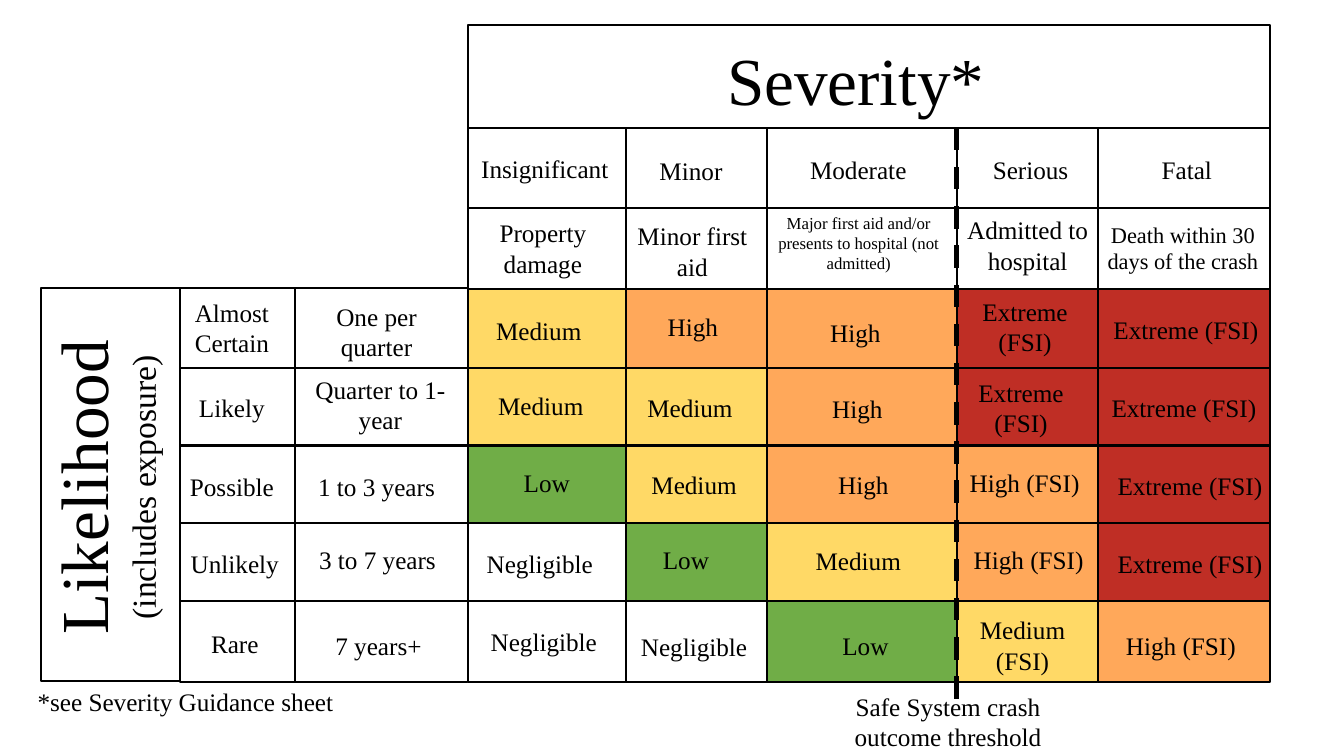
"""Build a crash risk matrix slide rating likelihood against severity."""
from typing import NamedTuple

import lxml.etree
import pptx
import pptx.dml.color
import pptx.enum.dml
import pptx.enum.shapes
import pptx.enum.text
import pptx.oxml.ns
import pptx.util

Pt = pptx.util.Pt
RGBColor = pptx.dml.color.RGBColor

BLACK = RGBColor(0x00, 0x00, 0x00)
WHITE = RGBColor(0xFF, 0xFF, 0xFF)
GREEN = RGBColor(0x70, 0xAD, 0x47)
YELLOW = RGBColor(0xFF, 0xD9, 0x66)
ORANGE = RGBColor(0xFF, 0xA8, 0x5A)
RED = RGBColor(0xBF, 0x2E, 0x25)
RATING_FILLS = {"Low": GREEN, "Medium": YELLOW, "High": ORANGE, "Extreme": RED}
FONT = "Times New Roman"

SEVERITY_TOPS = [91.4, 148.3, 206.6, 262.8, 318.2, 373.7, 429.1]
LIKELIHOOD_TOPS = [205.9, *SEVERITY_TOPS[3:]]
ROW_HEIGHT = 58.3
MATRIX_LEFT = 334.1
MATRIX_RIGHT = 907.2
THRESHOLD = 683.3


class Label(NamedTuple):
    text: str
    left: float
    top: float
    width: float = 123.1
    lines: int = 1
    size: float = 18


class Column(NamedTuple):
    left: float
    width: float
    tops: list[float]
    labels: list[Label]


COLUMNS = [
    Column(128.9, 82.1, LIKELIHOOD_TOPS, [
        Label("Almost Certain", 124.6, 208.8, 82.1, 2),
        Label("Likely", 124.6, 276.5, 82.1),
        Label("Possible", 124.6, 333.4, 82.1),
        Label("Unlikely", 126.7, 388.1, 82.1),
        Label("Rare", 126.7, 445, 82.1),
    ]),
    Column(211, 123.1, LIKELIHOOD_TOPS, [
        Label("One per quarter", 207.4, 211.7, lines=2),
        Label("Quarter to 1-year", 210.2, 263.5, lines=2),
        Label("1 to 3 years", 207.4, 333.4),
        Label("3 to 7 years", 208.1, 385.2),
        Label("7 years+", 208.8, 446.4),
    ]),
    Column(MATRIX_LEFT, 113, SEVERITY_TOPS, [
        Label("Insignificant", 327.6, 105.8),
        Label("Property damage", 326.2, 151.9, lines=2),
        Label("Medium", 323.3, 221.8),
        Label("Medium", 324.7, 275),
        Label("Low", 329, 330.5),
        Label("Negligible", 324, 388.1),
        Label("Negligible", 326.9, 444.2),
    ]),
    Column(447.1, 100.8, SEVERITY_TOPS, [
        Label("Minor", 432, 107.3),
        Label("Minor first aid", 444.2, 154.1, 100.8, 2),
        Label("High", 433.4, 218.9),
        Label("Medium", 431.3, 276.5),
        Label("Medium", 434.2, 331.9),
        Label("Low", 428.4, 385.2),
        Label("Negligible", 434.2, 447.1),
    ]),
    Column(547.9, 135.4, SEVERITY_TOPS, [
        Label("Moderate", 551.5, 106.6),
        Label("Major first aid and/or presents to hospital (not admitted)",
              547.2, 148.3, 132.5, 3, 12),
        Label("High", 549.4, 223.2),
        Label("High", 550.8, 277.2),
        Label("High", 555.1, 331.9),
        Label("Medium", 551.5, 385.9),
        Label("Low", 556.6, 446.4),
    ]),
    Column(THRESHOLD, 100.8, SEVERITY_TOPS, [
        Label("Serious", 674.6, 106.6),
        Label("Admitted to hospital", 672.5, 149.8, lines=2),
        Label("Extreme (FSI)", 677.5, 208.1, 109.4, 2),
        Label("Extreme (FSI)", 674.6, 265.7, 109.4, 2),
        Label("High (FSI)", 670.3, 330.5),
        Label("High (FSI)", 673.2, 385.2),
        Label("Medium (FSI)", 674.6, 435.6, 111.6, 2),
    ]),
    Column(784.1, 123.1, SEVERITY_TOPS, [
        Label("Fatal", 786.2, 106.6),
        Label("Death within 30 days of the crash", 783.4, 154.1, lines=2, size=16),
        Label("Extreme (FSI)", 766.8, 221, 160.6),
        Label("Extreme (FSI)", 765.4, 276.5, 160.6),
        Label("Extreme (FSI)", 769.7, 332.6, 160.6),
        Label("Extreme (FSI)", 769.7, 388.1, 160.6),
        Label("High (FSI)", 781.9, 446.4),
    ]),
]
FOOTNOTES = [
    Label("*see Severity Guidance sheet", -26.6, 486.7, 318.2),
    Label("Safe System crash outcome threshold", 601.2, 490.3, 152, 2),
]


def add_box(slide, left: float, top: float, width: float, height: float,
            fill: RGBColor = WHITE) -> None:
    box = slide.shapes.add_shape(pptx.enum.shapes.MSO_SHAPE.RECTANGLE,
                                 Pt(left), Pt(top), Pt(width), Pt(height))
    box.shadow.inherit = False
    box.fill.solid()
    box.fill.fore_color.rgb = fill
    box.line.color.rgb = BLACK
    box.line.width = Pt(1.5)


def write(frame, text: str, sizes: list[float]) -> None:
    frame.text = text
    frame.word_wrap = True
    frame.auto_size = pptx.enum.text.MSO_AUTO_SIZE.SHAPE_TO_FIT_TEXT
    frame.vertical_anchor = pptx.enum.text.MSO_ANCHOR.TOP
    for paragraph, size in zip(frame.paragraphs, sizes):
        paragraph.alignment = pptx.enum.text.PP_ALIGN.CENTER
        paragraph.font.name = FONT
        paragraph.font.size = Pt(size)
        paragraph.font.color.rgb = BLACK


def add_label(slide, label: Label) -> None:
    height = 7.2 + 1.2 * label.size * label.lines
    caption = slide.shapes.add_textbox(Pt(label.left), Pt(label.top),
                                       Pt(label.width), Pt(height))
    write(caption.text_frame, label.text, [label.size])


def add_threshold(slide) -> None:
    threshold = slide.shapes.add_connector(
        pptx.enum.shapes.MSO_CONNECTOR.STRAIGHT,
        Pt(THRESHOLD), Pt(SEVERITY_TOPS[0]), Pt(THRESHOLD), Pt(506.2))
    threshold.line.color.rgb = BLACK
    threshold.line.width = Pt(4)
    threshold.line.dash_style = pptx.enum.dml.MSO_LINE.DASH
    lxml.etree.SubElement(threshold.element.spPr, pptx.oxml.ns.qn("a:effectLst"))


def add_axis_titles(slide) -> None:
    severity = slide.shapes.title
    severity.left, severity.top = Pt(380.2), Pt(23.8)
    severity.width, severity.height = Pt(462.2), Pt(65.5)
    write(severity.text_frame, "Severity*", [48])
    slide.shapes.element.append(severity.element)

    likelihood = slide.shapes.add_textbox(Pt(-67), Pt(301), Pt(280.8), Pt(94.3))
    likelihood.rotation = 270
    write(likelihood.text_frame, "Likelihood\n(includes exposure)", [48, 24])


def main() -> None:
    deck = pptx.Presentation()
    deck.slide_width, deck.slide_height = Pt(960), Pt(540)
    slide = deck.slides.add_slide(deck.slide_layouts[5])

    add_box(slide, 29.5, 205.9, 103, 280.8)
    add_box(slide, MATRIX_LEFT, 18.2, MATRIX_RIGHT - MATRIX_LEFT, 73.2)
    for column in COLUMNS:
        for top, label in zip(column.tops, column.labels):
            fill = RATING_FILLS.get(label.text.split()[0], WHITE)
            add_box(slide, column.left, top, column.width, ROW_HEIGHT, fill)
    add_threshold(slide)

    for column in COLUMNS:
        for label in column.labels:
            add_label(slide, label)
    add_axis_titles(slide)
    for footnote in FOOTNOTES:
        add_label(slide, footnote)
    deck.save("out.pptx")


if __name__ == "__main__":
    main()
